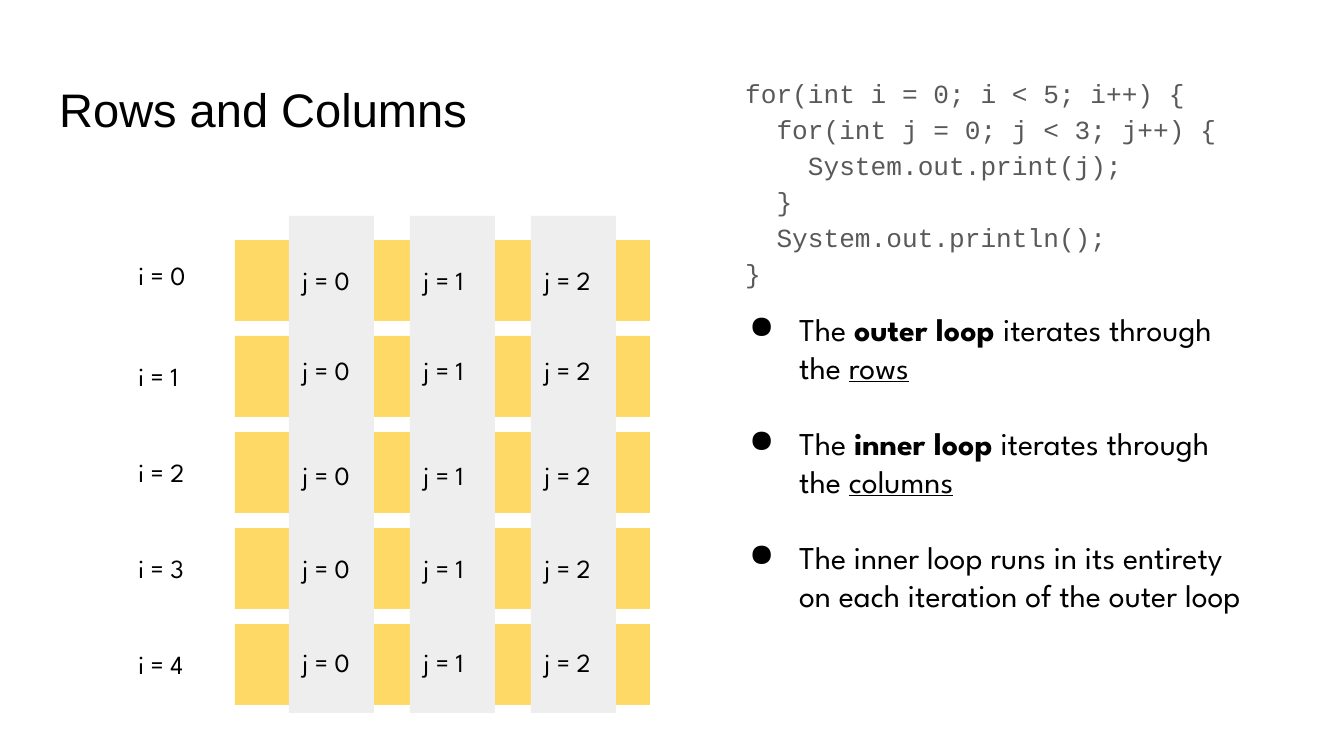
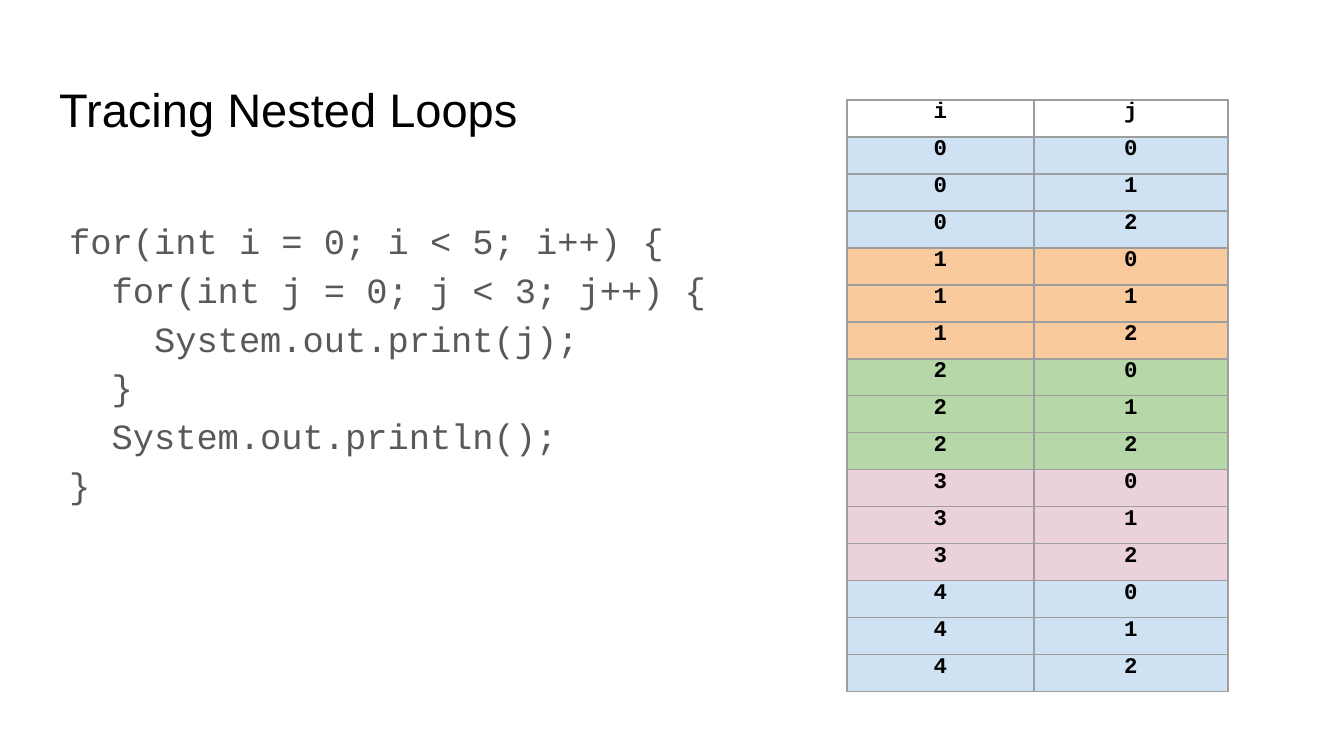
from dataclasses import dataclass

from lxml import etree
from pptx import Presentation
from pptx import util as u
from pptx.dml.color import RGBColor
from pptx.enum import shapes, text
from pptx.oxml import ns

PX = 6804  # EMU in one px; the page is 1344 px wide


@dataclass(frozen=True)
class Theme:
    ink: str = "000000"
    code_ink: str = "595959"
    row_band: str = "FFD966"
    column_band: str = "EEEEEE"
    grid: str = "9E9E9E"
    trace_fills: tuple = ("CFE2F3", "F9CB9C", "B6D7A8", "EAD1DC")
    title_font: str = "Arial"
    code_font: str = "Courier New"
    body_font: str = "League Spartan"
    title_size: float = 25.2
    trace_code_size: int = 19
    bullet_size: int = 17
    label_size: int = 14
    table_size: int = 12


THEME = Theme()
ROWS, COLUMNS = 5, 3
CODE = """for(int i = 0; i < 5; i++) {
  for(int j = 0; j < 3; j++) {
    System.out.print(j);
  }
  System.out.println();
}"""


def add_box(page, left, top, width, height):
    """Add a wrapping text box, placed in px, and return its text frame."""
    box = page.shapes.add_textbox(left * PX, top * PX, width * PX, height * PX)
    frame = box.text_frame
    frame.word_wrap = True
    frame.margin_left = frame.margin_right = u.Inches(0.1)
    frame.margin_top = frame.margin_bottom = u.Inches(0.1)
    return frame


def write(para, words, size, font=THEME.body_font, colour=THEME.ink,
          bold=False, underline=False):
    """Append words to a paragraph, one run per line."""
    for number, line in enumerate(words.split("\n")):
        if number:
            para.add_line_break()
        span = para.add_run()
        span.text = line
        span.font.size = u.Pt(size)
        span.font.name = font
        span.font.color.rgb = RGBColor.from_string(colour)
        span.font.bold = bold
        span.font.underline = underline


deck = Presentation()
deck.slide_width, deck.slide_height = 1344 * PX, 756 * PX

# Both pages: title and code listing
pages = []
for title, code_place, code_size in (
    ("Rows and Columns", (732, 59, 507, 241), THEME.label_size),
    ("Tracing Nested Loops", (56, 199, 746, 445), THEME.trace_code_size),
):
    page = deck.slides.add_slide(deck.slide_layouts[6])
    pages.append(page)
    frame = add_box(page, 46, 66, 1253, 85)
    frame.vertical_anchor = text.MSO_ANCHOR.MIDDLE
    write(frame.paragraphs[0], title, THEME.title_size, THEME.title_font)

    para = add_box(page, *code_place).paragraphs[0]
    para.line_spacing = 1.15
    para.space_after = u.Pt(12)
    write(para, CODE, code_size, THEME.code_font, THEME.code_ink)
grid_page, trace_page = pages

# Row bands with column bands across them
bands = [(235, 240 + 96 * i, 415, 81, THEME.row_band) for i in range(ROWS)]
bands += [(289 + 121 * j, 216, 85, 497, THEME.column_band) for j in range(COLUMNS)]
for left, top, width, height, colour in bands:
    band = grid_page.shapes.add_shape(
        shapes.MSO_SHAPE.RECTANGLE, left * PX, top * PX, width * PX, height * PX)
    band.shadow.inherit = False
    band.fill.solid()
    band.fill.fore_color.rgb = RGBColor.from_string(colour)
    band.line.fill.background()

# Index labels
row_label_tops = (246, 347, 443, 539, 635)
column_label_tops = (251, 341, 446, 539, 633)
for i, (row_top, column_top) in enumerate(zip(row_label_tops, column_label_tops)):
    para = add_box(grid_page, 125, row_top, 85, 59).paragraphs[0]
    write(para, f"i = {i}", THEME.label_size)
    for j in range(COLUMNS):
        para = add_box(grid_page, 289 + 121 * j, column_top, 85, 59).paragraphs[0]
        write(para, f"j = {j}", THEME.label_size)

# Explanation: each span is its words, bold, underline
bullets = (
    (("The ", False, False), ("outer loop ", True, False),
     ("iterates through the ", False, False), ("rows", False, True)),
    (("The ", False, False), ("inner loop", True, False),
     (" iterates through the ", False, False), ("columns", False, True)),
    (("The inner loop runs in its entirety on each iteration of the outer loop",
      False, False),),
)
frame = add_box(grid_page, 719, 296, 536, 374)
for number, spans in enumerate(bullets):
    para = frame.add_paragraph() if number else frame.paragraphs[0]
    props = para._p.get_or_add_pPr()
    props.set("marL", str(67 * PX))
    props.set("indent", str(-50 * PX))
    bullet_colour = etree.SubElement(props, ns.qn("a:buClr"))
    etree.SubElement(bullet_colour, ns.qn("a:srgbClr"), val=THEME.ink)
    etree.SubElement(props, ns.qn("a:buChar"), char="●")
    if number:
        para.space_before = u.Pt(20.4)
    for words, bold, underline in spans:
        write(para, words, THEME.bullet_size, bold=bold, underline=underline)

# Trace table: one colour for each pass of the outer loop
trace = [("i", "j", None)]
for i in range(ROWS):
    fill = THEME.trace_fills[i % len(THEME.trace_fills)]
    trace += [(str(i), str(j), fill) for j in range(COLUMNS)]

table = trace_page.shapes.add_table(
    len(trace), 2, 847 * PX, 100 * PX, 381 * PX, 37 * len(trace) * PX).table
table.first_row = table.horz_banding = False
table.columns[0].width, table.columns[1].width = 187 * PX, 194 * PX
for row, (*values, fill) in zip(table.rows, trace):
    row.height = 37 * PX
    for cell, value in zip(row.cells, values):
        cell.margin_left = cell.margin_right = u.Inches(0.1)
        cell.margin_top = cell.margin_bottom = 0
        for side in ("lnL", "lnR", "lnT", "lnB"):
            border = etree.SubElement(
                cell._tc.get_or_add_tcPr(), ns.qn(f"a:{side}"), w=str(u.Pt(0.75)))
            paint = etree.SubElement(border, ns.qn("a:solidFill"))
            etree.SubElement(paint, ns.qn("a:srgbClr"), val=THEME.grid)
        if fill:
            cell.fill.solid()
            cell.fill.fore_color.rgb = RGBColor.from_string(fill)
        else:
            cell.fill.background()
        para = cell.text_frame.paragraphs[0]
        para.alignment = text.PP_ALIGN.CENTER
        write(para, value, THEME.table_size, THEME.code_font, bold=True)

deck.save("out.pptx")
